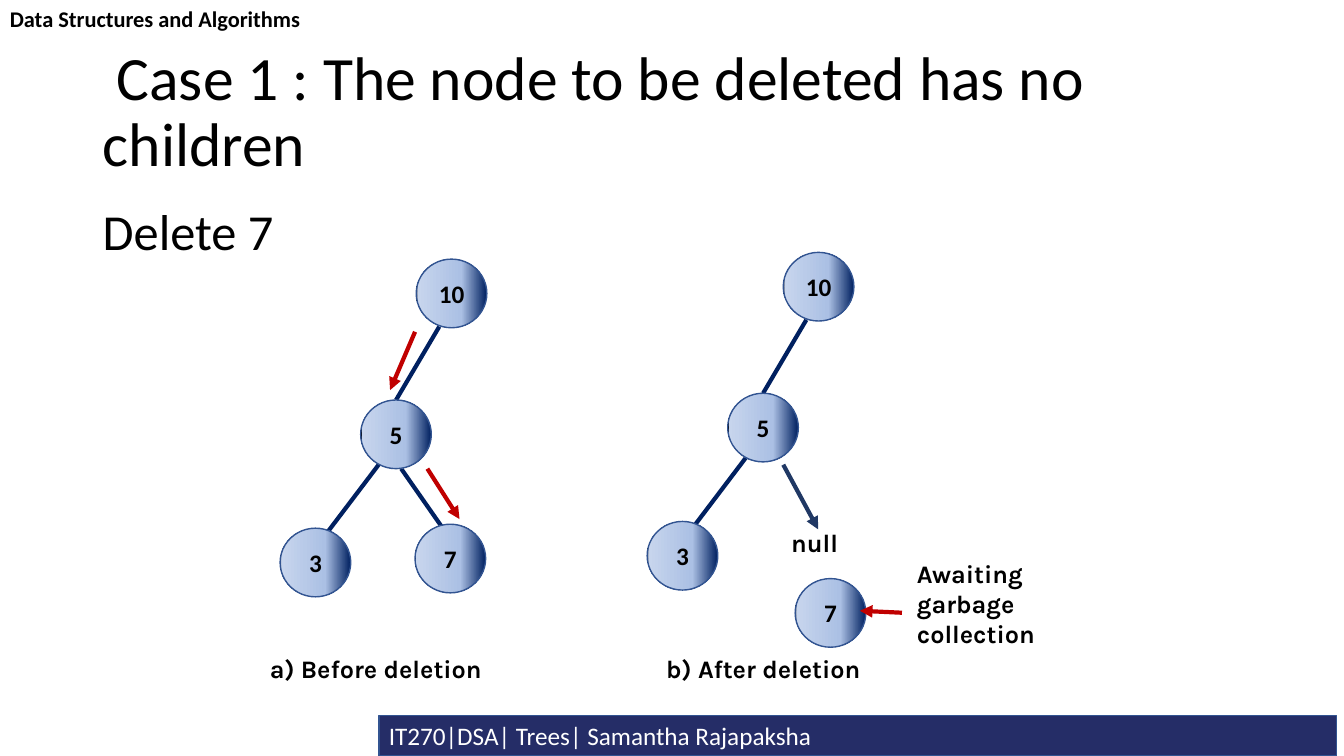
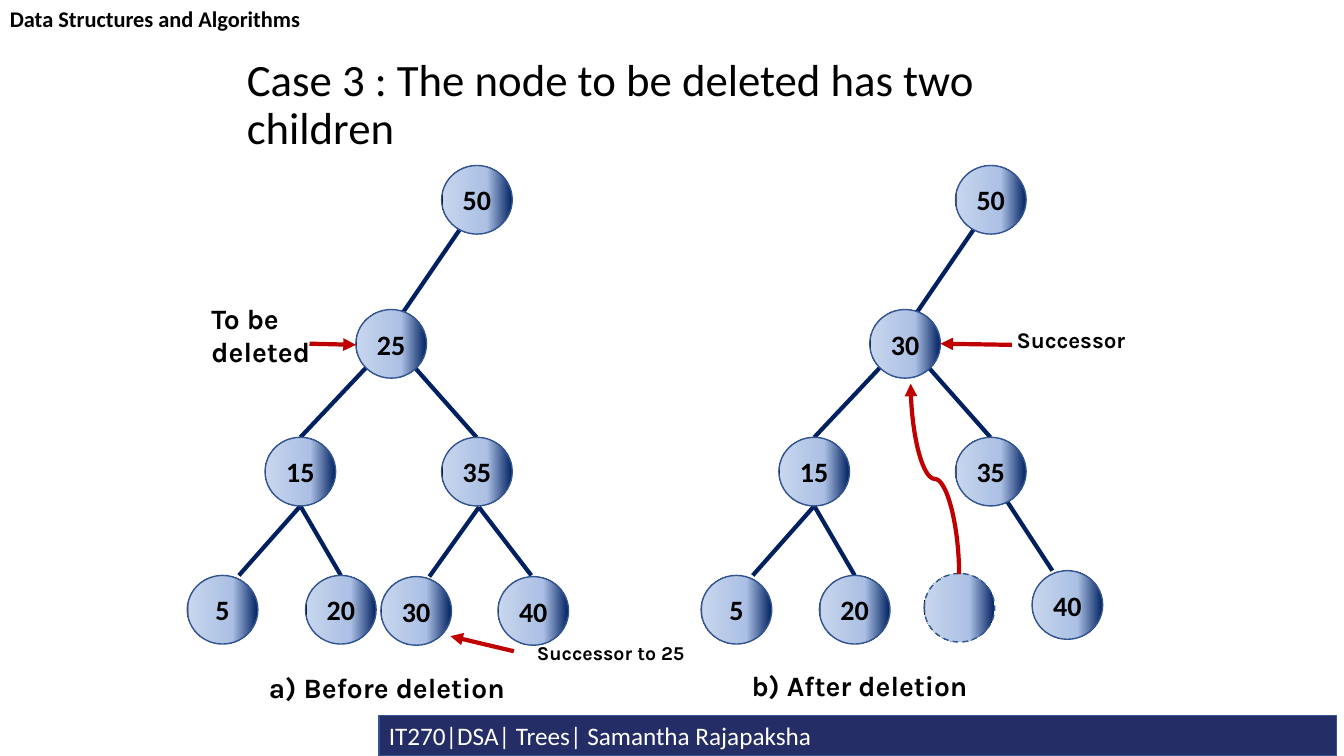
"""Build two slides on deleting nodes from a binary search tree."""
from dataclasses import dataclass, replace
from typing import Any

import lxml.etree
import pptx
import pptx.dml.color
import pptx.enum.dml
import pptx.enum.shapes
import pptx.enum.text
import pptx.oxml.ns
import pptx.util

Cm = pptx.util.Cm
Pt = pptx.util.Pt
Anchor = pptx.enum.text.MSO_ANCHOR
Align = pptx.enum.text.PP_ALIGN
Kind = pptx.enum.shapes.MSO_SHAPE
Link = pptx.enum.shapes.MSO_CONNECTOR
qn = pptx.oxml.ns.qn

COLORS = {
    "ink": "000000", "white": "FFFFFF", "band": "252D67", "rim": "325491",
    "edge": "002060", "red": "C00000", "slate": "203864",
    "mid": "ABC0E4", "pale": "C7D5ED",
}
STOPS = ((0, "edge"), (36, "mid"), (98, "pale"), (99, "ink"))
NODE_W, NODE_H = 1.78, 1.73


@dataclass(frozen=True)
class Node:
    x: float
    y: float
    text: str
    dashed: bool = False


@dataclass(frozen=True)
class Edge:
    x1: float
    y1: float
    x2: float
    y2: float
    color: str = "edge"
    arrow: bool = False


@dataclass(frozen=True)
class Label:
    x: float
    y: float
    w: float
    h: float
    text: str
    size: int
    font: str = "Karla"
    bold: bool = True
    anchor: Any = Anchor.TOP
    spacing: float = 1.0
    before: int = 0


@dataclass(frozen=True)
class Tree:
    size: int
    edges: list[Edge]
    nodes: list[Node]
    labels: list[Label]
    arrows: list[Edge]


def paint(color: Any, name: str) -> None:
    color.rgb = pptx.dml.color.RGBColor.from_string(COLORS[name])


def write(frame: Any, text: str, size: int, font: str = "Calibri",
          color: str = "ink", bold: bool = False) -> Any:
    para = frame.paragraphs[0]
    run = para.add_run()
    run.text = text
    run.font.size = Pt(size)
    run.font.name = font
    run.font.bold = bold
    paint(run.font.color, color)
    return para


def draw_label(shapes: Any, label: Label) -> None:
    box = shapes.add_textbox(Cm(label.x), Cm(label.y), Cm(label.w), Cm(label.h))
    frame = box.text_frame
    frame.word_wrap = True
    frame.vertical_anchor = label.anchor
    para = write(frame, label.text, label.size, label.font, bold=label.bold)
    para.line_spacing = label.spacing
    para.space_before = Pt(label.before)


def draw_edge(shapes: Any, edge: Edge, kind: Any = Link.STRAIGHT) -> Any:
    line = shapes.add_connector(
        kind, Cm(edge.x1), Cm(edge.y1), Cm(edge.x2), Cm(edge.y2))
    line.line.width = Pt(3)
    paint(line.line.color, edge.color)
    if edge.arrow:
        lxml.etree.SubElement(
            line.line._get_or_add_ln(), qn("a:tailEnd"), type="triangle")
    lxml.etree.SubElement(line._element.spPr, qn("a:effectLst"))
    return line


def draw_curve(shapes: Any, edge: Edge) -> None:
    line = draw_edge(shapes, edge, Link.CURVE)
    line._element.spPr.find(qn("a:xfrm")).set("rot", str(270 * 60000))


def shade(shape: Any) -> None:
    shape.fill.gradient()
    grad = shape._element.spPr.find(qn("a:gradFill"))
    for child in list(grad):
        grad.remove(child)
    stops = lxml.etree.SubElement(grad, qn("a:gsLst"))
    for place, name in STOPS:
        stop = lxml.etree.SubElement(stops, qn("a:gs"), pos=str(place * 1000))
        lxml.etree.SubElement(stop, qn("a:srgbClr"), val=COLORS[name])
    lxml.etree.SubElement(
        grad, qn("a:lin"), ang=str(180 * 60000), scaled="0")


def draw_shape(shapes: Any, kind: Any, x: float, y: float,
               w: float, h: float) -> Any:
    shape = shapes.add_shape(kind, Cm(x), Cm(y), Cm(w), Cm(h))
    shape.shadow.inherit = False
    shape.line.width = Pt(1)
    paint(shape.line.color, "rim")
    shape.text_frame.vertical_anchor = Anchor.MIDDLE
    return shape


def draw_node(shapes: Any, node: Node, size: int) -> None:
    disc = draw_shape(shapes, Kind.FLOWCHART_CONNECTOR,
                      node.x, node.y, NODE_W, NODE_H)
    shade(disc)
    if node.dashed:
        disc.line.dash_style = pptx.enum.dml.MSO_LINE.DASH
    if node.text:
        disc.text_frame.word_wrap = False
        para = write(disc.text_frame, node.text, size, bold=True)
        para.alignment = Align.CENTER


def draw_tree(slide: Any, tree: Tree) -> Any:
    shapes = slide.shapes.add_group_shape().shapes
    for edge in tree.edges:
        draw_edge(shapes, edge)
    for node in tree.nodes:
        draw_node(shapes, node, tree.size)
    for label in tree.labels:
        draw_label(shapes, label)
    for arrow in tree.arrows:
        draw_edge(shapes, arrow)
    return shapes


def shift_nodes(nodes: list[Node], dx: float, dy: float = 0) -> list[Node]:
    return [replace(n, x=n.x + dx, y=n.y + dy) for n in nodes]


def shift_edges(edges: list[Edge], dx: float, dy: float = 0) -> list[Edge]:
    return [replace(e, x1=e.x1 + dx, y1=e.y1 + dy, x2=e.x2 + dx, y2=e.y2 + dy)
            for e in edges]


def pointer(x1: float, y1: float, x2: float, y2: float,
            color: str = "red") -> Edge:
    return Edge(x1, y1, x2, y2, color, True)


def heading(x: float, y: float, w: float, h: float, text: str, size: int,
            anchor: Any = Anchor.TOP, before: int = 0) -> Label:
    return Label(x, y, w, h, text, size, "Calibri", False, anchor, 0.9, before)


def start_slide(deck: Any) -> Any:
    slide = deck.slides.add_slide(deck.slide_layouts[6])
    band = draw_shape(slide.shapes, Kind.RECTANGLE, 9.55, 18.03, 24.13, 1.02)
    band.fill.solid()
    paint(band.fill.fore_color, "band")
    para = write(band.text_frame, "IT270|DSA| Trees| Samantha Rajapaksha",
                 18, color="white")
    para.alignment = Align.LEFT
    draw_label(slide.shapes, Label(
        0, 0, 33.87, 0.94, "Data Structures and Algorithms", 16, "Calibri"))
    return slide


def leaf_slide(deck: Any) -> None:
    slide = start_slide(deck)
    kept = [Node(7.06, 13.31, "3"), Node(9.09, 10.08, "5"),
            Node(10.49, 6.53, "10")]
    links = [Edge(9.98, 10.08, 11.07, 8.23), Edge(8.23, 13.44, 9.58, 11.66)]
    dx, dy = 9.25, -0.17
    draw_tree(slide, Tree(
        18,
        links + [Edge(11.71, 14.1, 10.11, 11.81)],
        kept + [Node(10.46, 13.21, "7")],
        [Label(6.55, 16.33, 6.35, 1.02, "a) Before deletion", 18)],
        [pointer(10.46, 8.36, 9.83, 9.83),
         pointer(10.77, 11.81, 11.58, 13.08)]))
    draw_tree(slide, Tree(
        18,
        shift_edges(links, dx, dy),
        shift_nodes(kept, dx, dy) + [Node(20.04, 14.58, "7")],
        [Label(19.69, 13.16, 4.09, 1.02, "null", 18),
         Label(16.54, 16.33, 6.35, 1.02, "b) After deletion", 18),
         Label(22.86, 13.94, 4.09, 2.57, "Awaiting garbage collection", 18)],
        [pointer(19.74, 11.71, 20.62, 13.34, "slate"),
         pointer(22.73, 15.44, 21.67, 15.39)]))
    draw_label(slide.shapes, heading(
        2.34, 1.02, 29.21, 3.68,
        " Case 1 : The node to be deleted has no children", 44, Anchor.MIDDLE))
    draw_label(slide.shapes, heading(
        2.34, 5.08, 29.21, 12.09, "Delete 7", 36, before=10))


def pair_slide(deck: Any) -> None:
    slide = start_slide(deck)
    kept = [Node(7.7, 14.5, "20"), Node(6.68, 11.02, "15"),
            Node(4.72, 14.5, "5"), Node(11.13, 11.02, "35"),
            Node(11.13, 4.17, "50")]
    links = [Edge(9.98, 8.13, 11.63, 5.72), Edge(7.57, 11.02, 9.22, 9.27),
             Edge(12.01, 11.02, 10.46, 9.27), Edge(6.02, 14.5, 7.57, 12.75),
             Edge(8.59, 14.5, 7.57, 12.75)]
    target = Node(8.97, 7.8, "25")
    dx = 12.95
    draw_tree(slide, Tree(
        20,
        links + [Edge(10.82, 14.53, 12.07, 12.78),
                 Edge(13.39, 14.5, 12.07, 12.78)],
        kept + [target, Node(9.6, 14.53, "30"), Node(12.55, 14.53, "40")],
        [Label(6.53, 16.76, 6.86, 1.12, "a) Before deletion", 20),
         Label(13.28, 16.03, 4.24, 0.86, "Successor to 25", 14),
         Label(5.08, 7.47, 3.18, 1.96, "To be deleted", 20)],
        [pointer(12.95, 16.41, 11.35, 16.03),
         pointer(7.8, 8.66, 8.97, 8.69)]))
    after = draw_tree(slide, Tree(
        20,
        shift_edges(links, dx) + [Edge(26.52, 14.38, 25.37, 12.62)],
        shift_nodes(kept + [replace(target, text="30")], dx)
        + [Node(26.01, 14.38, "40"), Node(23.29, 14.45, "", True)],
        [Label(25.37, 8.1, 3.4, 0.94, "Successor", 16),
         Label(18.69, 16.71, 6.35, 1.12, "b) After deletion", 20)],
        [pointer(25.5, 8.69, 23.7, 8.66)]))
    draw_curve(after, pointer(21.16, 12.68, 25.96, 11.46))
    draw_label(slide.shapes, heading(
        5.97, 1.02, 21.92, 3,
        "Case 3 : The node to be deleted has two children", 32, Anchor.BOTTOM))


def main() -> None:
    deck = pptx.Presentation()
    deck.slide_width, deck.slide_height = Cm(33.87), Cm(19.05)
    leaf_slide(deck)
    pair_slide(deck)
    deck.save("out.pptx")


if __name__ == "__main__":
    main()
